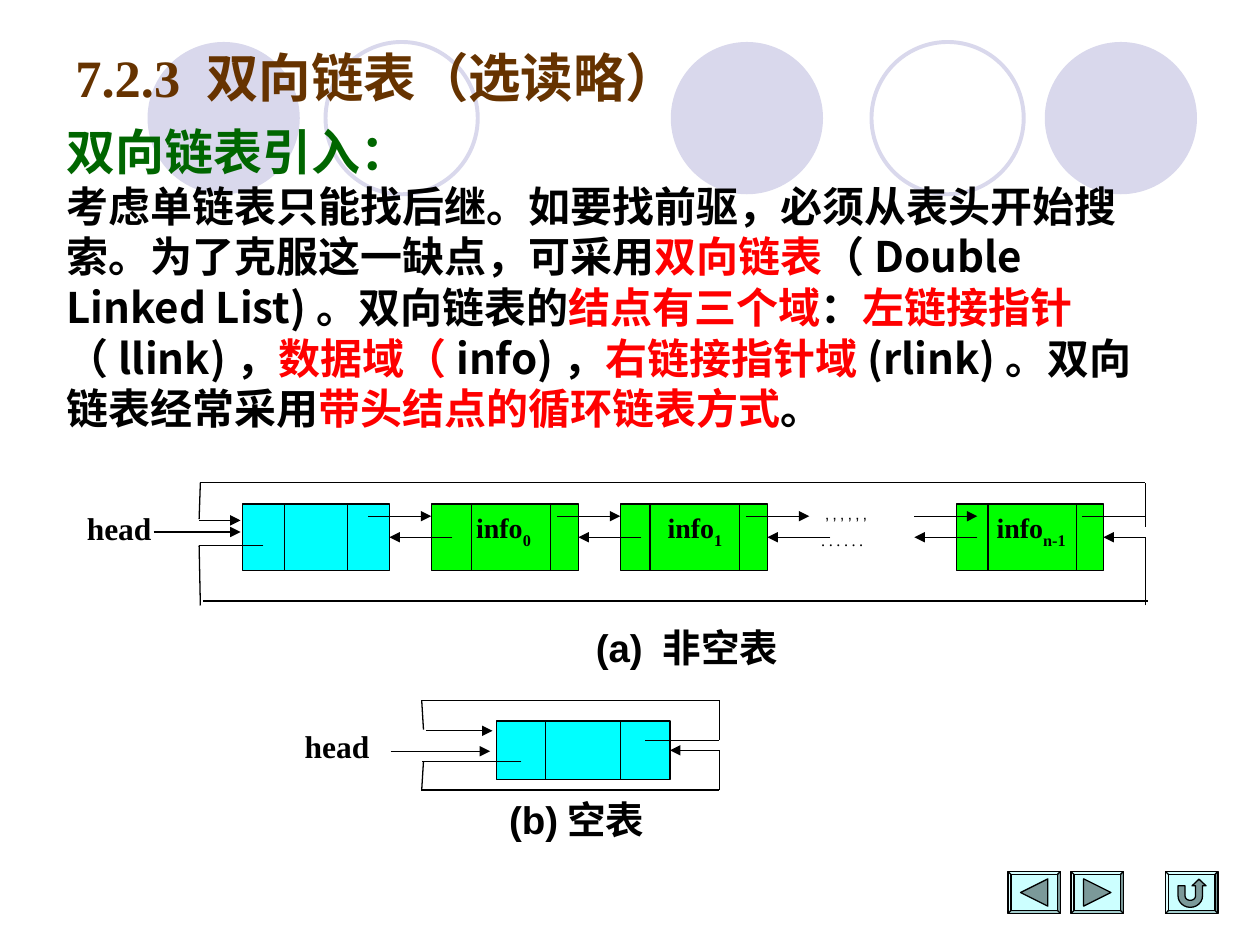
from math import cos, pi, sin

from lxml import etree
from pptx import Presentation
from pptx.dml.color import RGBColor
from pptx.enum.shapes import MSO_CONNECTOR, MSO_SHAPE
from pptx.enum.text import MSO_ANCHOR, PP_ALIGN
from pptx.oxml.ns import qn
from pptx.util import Pt

RECT, OVAL = MSO_SHAPE.RECTANGLE, MSO_SHAPE.OVAL
BEVEL, TRI = MSO_SHAPE.BEVEL, MSO_SHAPE.ISOSCELES_TRIANGLE
LINE = MSO_CONNECTOR.STRAIGHT
LEFT, TOP, MIDDLE = PP_ALIGN.LEFT, MSO_ANCHOR.TOP, MSO_ANCHOR.MIDDLE
RIGHT_SIDE = 3
ROMAN, SANS, HAN = "Times New Roman", "Arial", "Noto Sans CJK SC"
BLACK, RED, BROWN, MOSS = "000000", "FF0000", "663300", "006600"
CYAN, LIME, LILAC, PALE, GREY = "00FFFF", "00FF00", "D9D8EC", "CCFFFF", "7B9999"


def rgb(code):
    return RGBColor.from_string(code)


class Deck:
    def __init__(self, wide, high):
        self.prs = Presentation()
        self.prs.slide_width, self.prs.slide_height = Pt(wide), Pt(high)
        self.slide = self.prs.slides.add_slide(self.prs.slide_layouts[6])
        self.shapes = self.slide.shapes
        self.style = {"name": ROMAN, "size": 16, "bold": True, "color": BLACK}

    def paint(self, shape, fill=None, line=None, weight=0.75):
        shape.shadow.inherit = False
        if fill:
            shape.fill.solid()
            shape.fill.fore_color.rgb = rgb(fill)
        else:
            shape.fill.background()
        if line:
            shape.line.color.rgb = rgb(line)
            shape.line.width = Pt(weight)
        else:
            shape.line.fill.background()
        return shape

    def shape(self, kind, box, **look):
        return self.paint(self.shapes.add_shape(kind, *map(Pt, box)), **look)

    def outline(self, points, **look):
        pen = self.shapes.build_freeform(Pt(points[0][0]), Pt(points[0][1]))
        pen.add_line_segments([(Pt(x), Pt(y)) for x, y in points[1:]])
        return self.paint(pen.convert_to_shape(), **look)

    def line(self, x1, y1, x2, y2, arrow=False, join=None):
        link = self.shapes.add_connector(LINE, *map(Pt, (x1, y1, x2, y2)))
        link.line.color.rgb = rgb(BLACK)
        link.line.width = Pt(0.75)
        props = link._element.spPr
        if arrow:
            etree.SubElement(props.find(qn("a:ln")), qn("a:tailEnd"), type="triangle")
        etree.SubElement(props, qn("a:effectLst"))
        if join:
            link.end_connect(join, RIGHT_SIDE)

    def run(self, para, words, base=0, **form):
        run = para.add_run()
        run.text = words
        form = {**self.style, **form}
        run.font.color.rgb = rgb(form.pop("color"))
        form["size"] = Pt(form["size"])
        for key, value in form.items():
            setattr(run.font, key, value)
        props = run._r.get_or_add_rPr()
        if base:
            props.set("baseline", str(base * 1000))
        han = etree.Element(qn("a:ea"), typeface=HAN)
        props.find(qn("a:latin")).addnext(han)

    def fill(self, shape, paras, inset=7.2, anchor=TOP, gaps=()):
        frame = shape.text_frame
        frame.word_wrap, frame.vertical_anchor = True, anchor
        frame.margin_left = Pt(inset)
        for n, runs in enumerate(paras):
            para = frame.add_paragraph() if n else frame.paragraphs[0]
            para.alignment = LEFT
            if gaps:
                para.line_spacing = Pt(gaps[n])
            for words, form in runs:
                self.run(para, words, **form)

    def text(self, box, paras, **kind):
        self.fill(self.shapes.add_textbox(*map(Pt, box)), paras, **kind)

    def node(self, box, color, cuts):
        x, y, _, high = box
        cell = self.shape(RECT, box, fill=color, line=BLACK)
        for cut in cuts:
            self.line(x + cut, y, x + cut, y + high)
        return cell


def main():
    deck = Deck(720, 540)

    # Background circles
    for x, solid in ((84.3, 1), (186, 0), (383.3, 1), (498, 0), (597, 1)):
        look = {"fill": LILAC} if solid else {"line": LILAC, "weight": 2.25}
        deck.shape(OVAL, (x, 24, 87, 87), **look)

    # Title
    deck.text((36, 21.6, 369.4, 44), [[("7.2.3 双向链表（选读略）", {"size": 30, "color": BROWN})]],
              anchor=MIDDLE)

    # Introduction: black and red runs take turns
    parts = ["考虑单链表只能找后继。如要找前驱，必须从表头开始搜索。为了克服这一缺点，可采用",
             "双向链表", "（Double Linked List)。双向链表的", "结点有三个域", "：", "左链接指针",
             "（llink)，", "数据域（", "info)，", "右链接指针域", "(rlink)。双向链表经常采用",
             "带头结点的循环链表方式", "。"]
    body = [(words, {"name": HAN, "size": 24, "color": (BLACK, RED)[n % 2]})
            for n, words in enumerate(parts)]
    head = [("双向链表引入：", {"name": HAN, "size": 28, "color": MOSS})]
    deck.text((31, 65.8, 630.7, 185), [head, body], gaps=(33.6, 28.9))

    # (a) Nodes of the list
    top, wide, high = 288, 84, 38
    fore, back = 295, top + high / 2
    nodes = []
    for x, color, cuts, sub, inset in (
            (138.5, CYAN, (24, 60), "", 0), (246.5, LIME, (23, 68), "0", 25.6),
            (354.5, LIME, (17, 68), "1", 27), (546.5, LIME, (18, 68.5), "n-1", 23)):
        cell = deck.node((x, top, wide, high), color, cuts)
        if sub:
            deck.fill(cell, [[("info", {}), (sub, {"base": -30})]], inset=inset)
        nodes.append(cell)
    dots = [(".", {"base": -30, "bold": False}),
            ("’", {"base": 30, "bold": False, "name": SANS})] * 6
    deck.text((462.2, top, 60, high), [dots])

    # (a) Links between nodes
    for x in (210.5, 318.5, 426.5, 522.5):
        deck.line(x, fore, x + 36, fore, arrow=True)
    for x, cell in zip((258.5, 366.5, 474.5), nodes):
        deck.line(x, back, x - 36, back, arrow=True, join=cell)
    deck.line(558.5, back, 522.5, back, arrow=True)

    # (a) Outer loops
    for ends in ((113.8, 296.6, 114.5, 275.8), (114.5, 275.8, 654.5, 275.8),
                 (618.5, fore, 654.5, fore), (654.5, 301, 654.5, 275.8),
                 (150.5, 311.8, 114, 311.8), (113.8, 311.8, 114.5, 346),
                 (116, 343.5, 656, 343.5), (654.5, 346, 654.5, back)):
        deck.line(*ends)
    deck.line(654.5, back, 630.5, back, arrow=True, join=nodes[-1])
    deck.line(113.8, 297.4, 137.5, 297.4, arrow=True)
    deck.line(87.8, 304, 137.5, 304, arrow=True)

    # (b) Empty list
    cell = deck.node((283.7, 412, 99.2, 33.5), CYAN, (28.2, 70.7))
    for ends in ((368.6, 423.2, 411, 423.2), (411, 423, 411, 400.3),
                 (411, 400.3, 240.8, 400.3), (242, 417, 241, 400.3),
                 (411, 451.4, 411, 428.75), (241, 451.4, 242, 435),
                 (298, 435, 241, 435), (411, 451.4, 240.8, 451.4)):
        deck.line(*ends)
    deck.line(411, 428.75, 383, 428.75, arrow=True, join=cell)
    deck.line(243.4, 417.6, 281.5, 417.6, arrow=True)
    deck.line(223.2, 429.3, 280.1, 429.3, arrow=True)

    # Labels and captions
    for x, y in ((42.5, 287.3), (167, 412)):
        deck.text((x, y, 57, 28), [[("head", {"size": 18})]])
    for box, words in (((333.4, 352.8, 136, 34), "(a) 非空表"),
                       ((283.9, 451.4, 110, 34), "(b)空表")):
        deck.text(box, [[(words, {"size": 22, "name": SANS})]])

    # Buttons: back, next, return
    for x in (576, 612, 666):
        plate = deck.shape(BEVEL, (x, 498, 30, 24), fill=PALE, line=BLACK)
        plate.adjustments[0] = 0.07
    for x, turn in ((583.2, -90), (619.2, 90)):
        mark = deck.shape(TRI, (x, 502.2, 15.6, 15.6), fill=GREY, line=BLACK)
        mark.rotation = turn
    mid, low = 680.2, 512
    turns = [pi * n / 12 for n in range(13)]
    outer = [(mid + 7 * cos(t), low + 6.5 * sin(t)) for t in turns]
    inner = [(mid + 3 * cos(t), low + 2.5 * sin(t)) for t in reversed(turns)]
    tip = [(683.2, 506.2), (681.2, 506.2), (685.2, 502.4), (689.2, 506.2), (687.2, 506.2)]
    tail = [(673.2, 506.2), (677.2, 506.2)]
    deck.outline(tail + inner + tip + outer, fill=GREY, line=BLACK)

    deck.prs.save("out.pptx")


if __name__ == "__main__":
    main()
